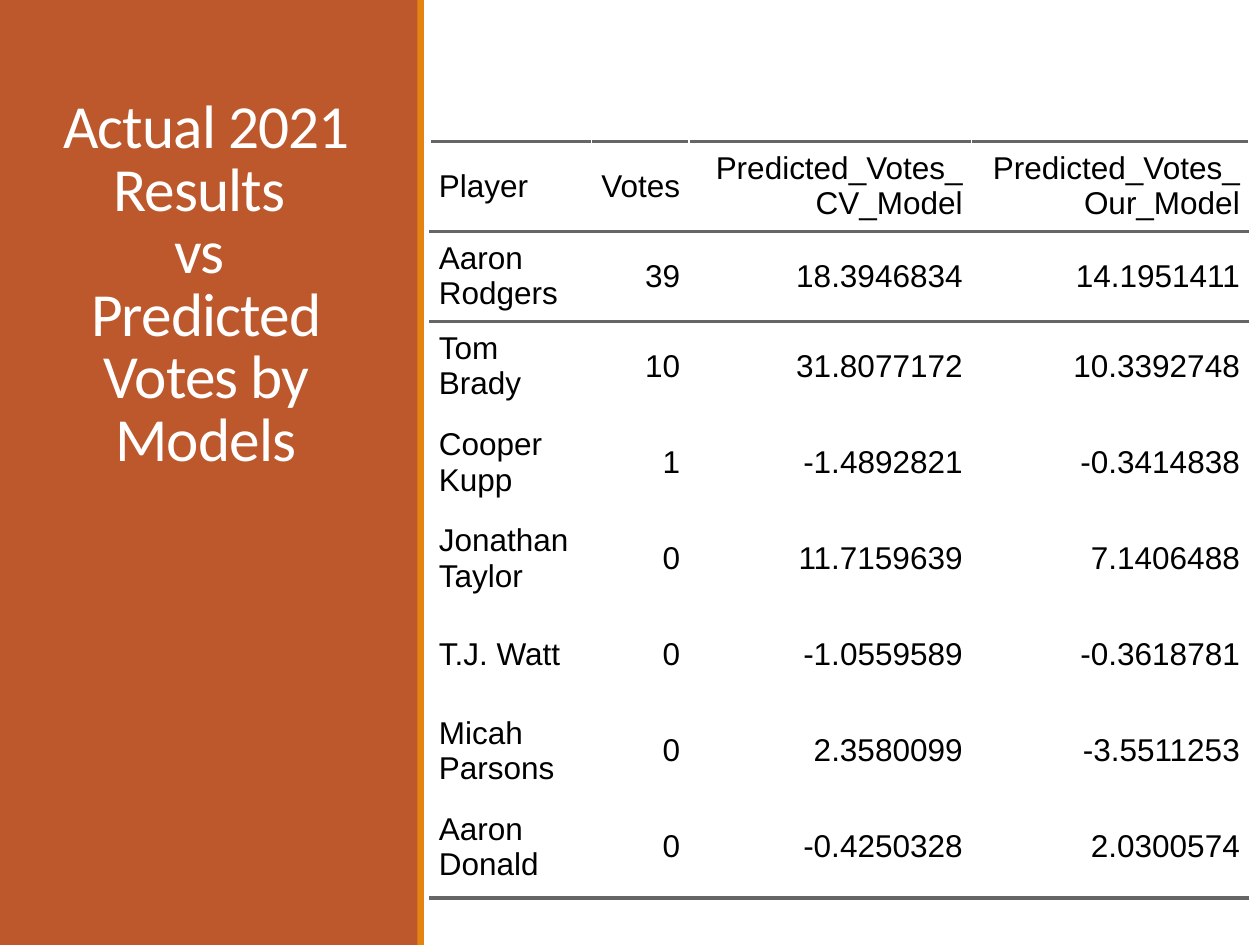
from lxml import etree
from pptx import Presentation
from pptx.dml.color import RGBColor
from pptx.enum.shapes import MSO_SHAPE
from pptx.enum.text import MSO_ANCHOR, MSO_AUTO_SIZE, PP_ALIGN
from pptx.oxml.ns import qn
from pptx.util import Pt

RECT = MSO_SHAPE.RECTANGLE
MIDDLE = MSO_ANCHOR.MIDDLE
LEFT, CENTER, RIGHT = PP_ALIGN.LEFT, PP_ALIGN.CENTER, PP_ALIGN.RIGHT
FIXED = MSO_AUTO_SIZE.NONE

COLORS = {"panel": "BD582C", "stripe": "E48312", "rule": "666666",
          "title": "FFFFFF", "text": "000000"}


def style(run, font, size, color):
    run.font.name = font
    run.font.size = Pt(size)
    run.font.color.rgb = RGBColor.from_string(COLORS[color])


def rule(cell, side):
    line = etree.SubElement(cell._tc.get_or_add_tcPr(), qn("a:" + side), w=str(Pt(2)))
    fill = etree.SubElement(line, qn("a:solidFill"))
    etree.SubElement(fill, qn("a:srgbClr"), val=COLORS["rule"])


deck = Presentation()
deck.slide_width, deck.slide_height = Pt(720), Pt(540)
slide = deck.slides.add_slide(deck.slide_layouts[5])

# Side panel and stripe
for name, left, width in (("panel", 0, 239), ("stripe", 238.5, 3.75)):
    bar = slide.shapes.add_shape(RECT, Pt(left), 0, Pt(width), Pt(540))
    bar.shadow.inherit = False
    bar.fill.solid()
    bar.fill.fore_color.rgb = RGBColor.from_string(COLORS[name])
    bar.line.fill.background()

# Title, raised above the panel
title = slide.shapes.title
slide.shapes._spTree.append(title._element)
title.left, title.top, title.width, title.height = Pt(13.7), Pt(52), Pt(208), Pt(223)
frame = title.text_frame
frame.word_wrap = True
frame.auto_size = FIXED
frame.vertical_anchor = MIDDLE
para = frame.paragraphs[0]
para.alignment = CENTER
para.line_spacing = 0.85
for i, text in enumerate(("Actual 2021 Results ", "vs ", "Predicted Votes by Models")):
    if i:
        para.add_line_break()
    run = para.add_run()
    run.text = text
    style(run, "Calibri", 35, "title")
    run.font._element.set("spc", "-50")

# Votes table
ROWS = (
    ("Player", "Votes", "Predicted_Votes_CV_Model", "Predicted_Votes_Our_Model"),
    ("Aaron Rodgers", "39", "18.3946834", "14.1951411"),
    ("Tom Brady", "10", "31.8077172", "10.3392748"),
    ("Cooper Kupp", "1", "-1.4892821", "-0.3414838"),
    ("Jonathan Taylor", "0", "11.7159639", "7.1406488"),
    ("T.J. Watt", "0", "-1.0559589", "-0.3618781"),
    ("Micah Parsons", "0", "2.3580099", "-3.5511253"),
    ("Aaron Donald", "0", "-0.4250328", "2.0300574"),
)
WIDTHS = (92.3, 55.6, 161.4, 158.4)
LOW, TALL = 51.45, 58.4
HEIGHTS = (LOW, LOW, LOW, TALL, LOW, TALL, LOW, TALL)
last = len(ROWS) - 1

table = slide.shapes.add_table(len(ROWS), len(WIDTHS), Pt(245.8), Pt(80.7),
                               Pt(sum(WIDTHS)), Pt(sum(HEIGHTS))).table
table.first_row = table.horz_banding = False
for col, width in zip(table.columns, WIDTHS):
    col.width = Pt(width)
for r, (row, height) in enumerate(zip(ROWS, HEIGHTS)):
    table.rows[r].height = Pt(height)
    for c, text in enumerate(row):
        cell = table.cell(r, c)
        cell.margin_left = cell.margin_right = cell.margin_top = cell.margin_bottom = 0
        cell.vertical_anchor = MIDDLE
        if r < 2:
            rule(cell, "lnT")
        if r in (0, last):
            rule(cell, "lnB")
        cell.fill.background()
        para = cell.text_frame.paragraphs[0]
        para.alignment = RIGHT if c else LEFT
        para.space_before = para.space_after = Pt(5)
        for side in ("marL", "marR"):
            para._p.get_or_add_pPr().set(side, str(Pt(5)))
        run = para.add_run()
        run.text = text
        style(run, "Arial", 18, "text")

deck.save("out.pptx")
